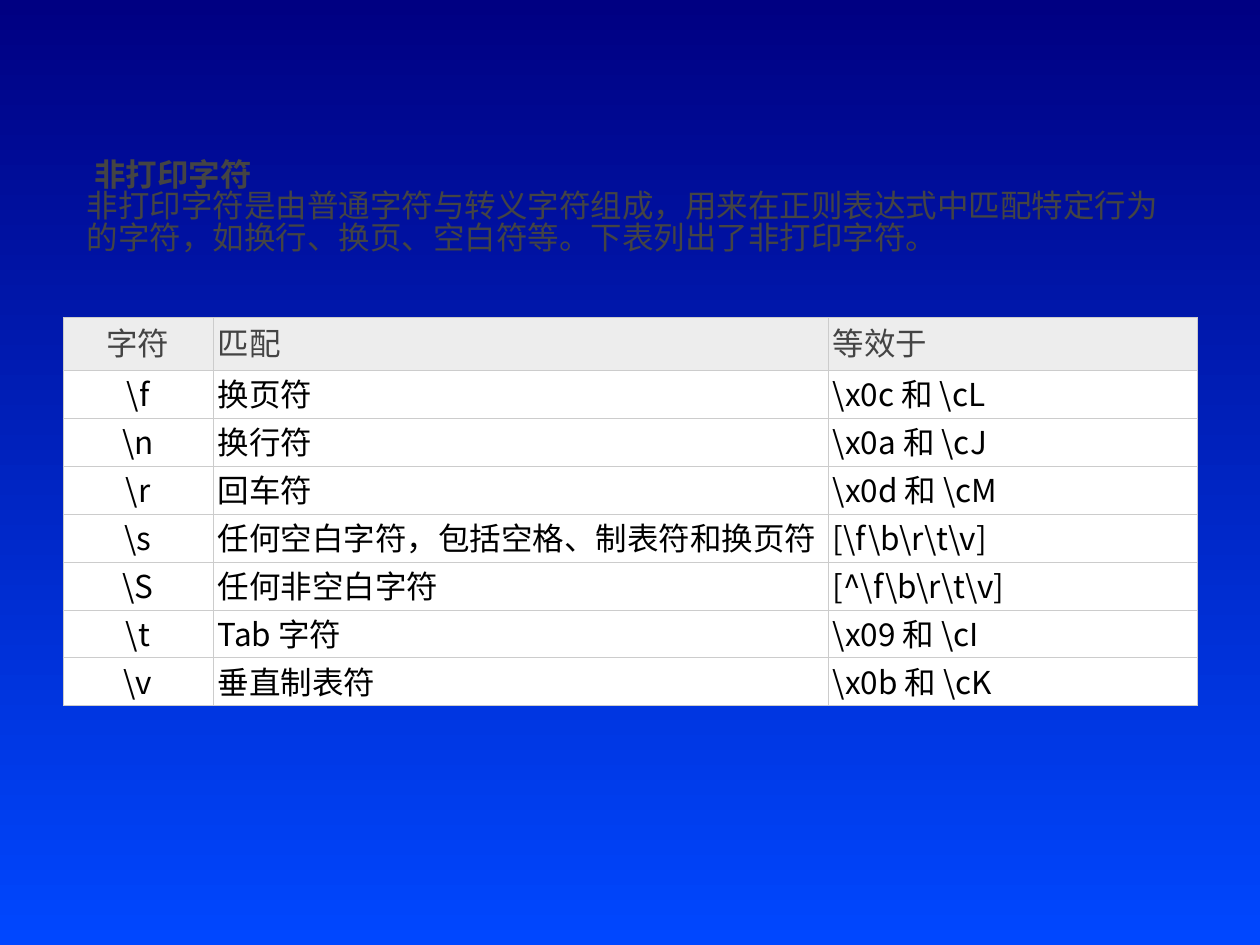
from dataclasses import dataclass
from typing import Any

from lxml import etree
from pptx import Presentation
from pptx import util as u
from pptx.dml.color import RGBColor
from pptx.enum import text
from pptx.oxml.ns import qn

FONT = "Noto Sans CJK SC"
LINE_SPACING = 0.83
COLORS = {
    "sky_top": "000082",
    "sky_bottom": "0047FF",
    "muted": "444444",
    "ink": "000000",
    "header": "EDEDED",
    "row": "FFFFFF",
    "border": "CCCCCC",
}
COLUMN_WIDTHS = (1.19, 4.88, 2.93)
HEADER_HEIGHT, ROW_HEIGHT = 0.42, 0.38


@dataclass(frozen=True)
class Escape:
    symbol: str
    meaning: str
    equivalent: str

    def values(self) -> tuple[str, str, str]:
        return self.symbol, self.meaning, self.equivalent


HEADINGS = Escape("字符", "匹配", "等效于")
ESCAPES = [
    Escape(r"\f", "换页符", r"\x0c 和 \cL"),
    Escape(r"\n", "换行符", r"\x0a 和 \cJ"),
    Escape(r"\r", "回车符", r"\x0d 和 \cM"),
    Escape(r"\s", "任何空白字符，包括空格、制表符和换页符", r"[\f\b\r\t\v]"),
    Escape(r"\S", "任何非空白字符", r"[^\f\b\r\t\v]"),
    Escape(r"\t", "Tab 字符", r"\x09 和 \cI"),
    Escape(r"\v", "垂直制表符", r"\x0b 和 \cK"),
]
INTRO = [
    (" 非打印字符", True),
    ("非打印字符是由普通字符与转义字符组成，用来在正则表达式中匹配特定行为的字符，如换行、换页、空白符等。下表列出了非打印字符。", False),
]


def apply(target: Any, values: dict[str, Any]) -> None:
    for name, value in values.items():
        setattr(target, name, value)


def color(name: str) -> RGBColor:
    return RGBColor.from_string(COLORS[name])


def write(para: Any, words: str, ink: str, bold: bool = False, centered: bool = False) -> None:
    align = text.PP_ALIGN.CENTER if centered else text.PP_ALIGN.LEFT
    apply(para, {"alignment": align, "line_spacing": LINE_SPACING})
    span = para.add_run()
    span.text = words
    apply(span.font, {"name": FONT, "size": u.Pt(18), "bold": bold})
    span.font.color.rgb = color(ink)
    etree.SubElement(span.font._element, qn("a:ea"), typeface=FONT)


def paint_background(page: Any) -> None:
    fill = page.background.fill
    fill.gradient()
    fill.gradient_angle = 270
    for stop, name, position in zip(fill.gradient_stops, ("sky_top", "sky_bottom"), (0, 1)):
        stop.color.rgb = color(name)
        stop.position = position


def add_intro(page: Any) -> None:
    box = page.shapes.title
    apply(box, {
        "left": u.Inches(0.59), "top": u.Inches(1.23),
        "width": u.Inches(8.82), "height": u.Inches(1),
    })
    frame = box.text_frame
    apply(frame, {
        "word_wrap": True,
        "auto_size": text.MSO_AUTO_SIZE.SHAPE_TO_FIT_TEXT,
        "vertical_anchor": text.MSO_ANCHOR.TOP,
    })
    for index, (words, bold) in enumerate(INTRO):
        para = frame.add_paragraph() if index else frame.paragraphs[0]
        write(para, words, "muted", bold)


def add_borders(cell: Any) -> None:
    properties = cell._tc.get_or_add_tcPr()
    for side in ("lnL", "lnR", "lnT", "lnB"):
        line = etree.SubElement(properties, qn(f"a:{side}"), w=str(u.Pt(0.28)))
        fill = etree.SubElement(line, qn("a:solidFill"))
        etree.SubElement(fill, qn("a:srgbClr"), val=COLORS["border"])


def fill_cell(cell: Any, words: str, ink: str, background: str, centered: bool) -> None:
    add_borders(cell)
    apply(cell, {
        "margin_left": u.Inches(0.04), "margin_right": u.Inches(0.04),
        "margin_top": u.Inches(0.05), "margin_bottom": u.Inches(0.05),
        "vertical_anchor": text.MSO_ANCHOR.MIDDLE,
    })
    cell.fill.solid()
    cell.fill.fore_color.rgb = color(background)
    write(cell.text_frame.paragraphs[0], words, ink, centered=centered)


def add_escape_table(page: Any) -> None:
    records = [HEADINGS, *ESCAPES]
    height = HEADER_HEIGHT + ROW_HEIGHT * len(ESCAPES)
    table = page.shapes.add_table(
        len(records), len(COLUMN_WIDTHS),
        u.Inches(0.5), u.Inches(2.52), u.Inches(sum(COLUMN_WIDTHS)), u.Inches(height),
    ).table
    apply(table, {"first_row": False, "horz_banding": False})
    for column, width in zip(table.columns, COLUMN_WIDTHS):
        column.width = u.Inches(width)
    for index, record in enumerate(records):
        table.rows[index].height = u.Inches(ROW_HEIGHT if index else HEADER_HEIGHT)
        ink, background = ("ink", "row") if index else ("muted", "header")
        for position, words in enumerate(record.values()):
            fill_cell(table.cell(index, position), words, ink, background, position == 0)


def main() -> None:
    deck = Presentation()
    apply(deck, {"slide_width": u.Inches(10), "slide_height": u.Inches(7.5)})
    page = deck.slides.add_slide(deck.slide_layouts.get_by_name("Title Only"))
    paint_background(page)
    add_intro(page)
    add_escape_table(page)
    deck.save("out.pptx")


if __name__ == "__main__":
    main()
